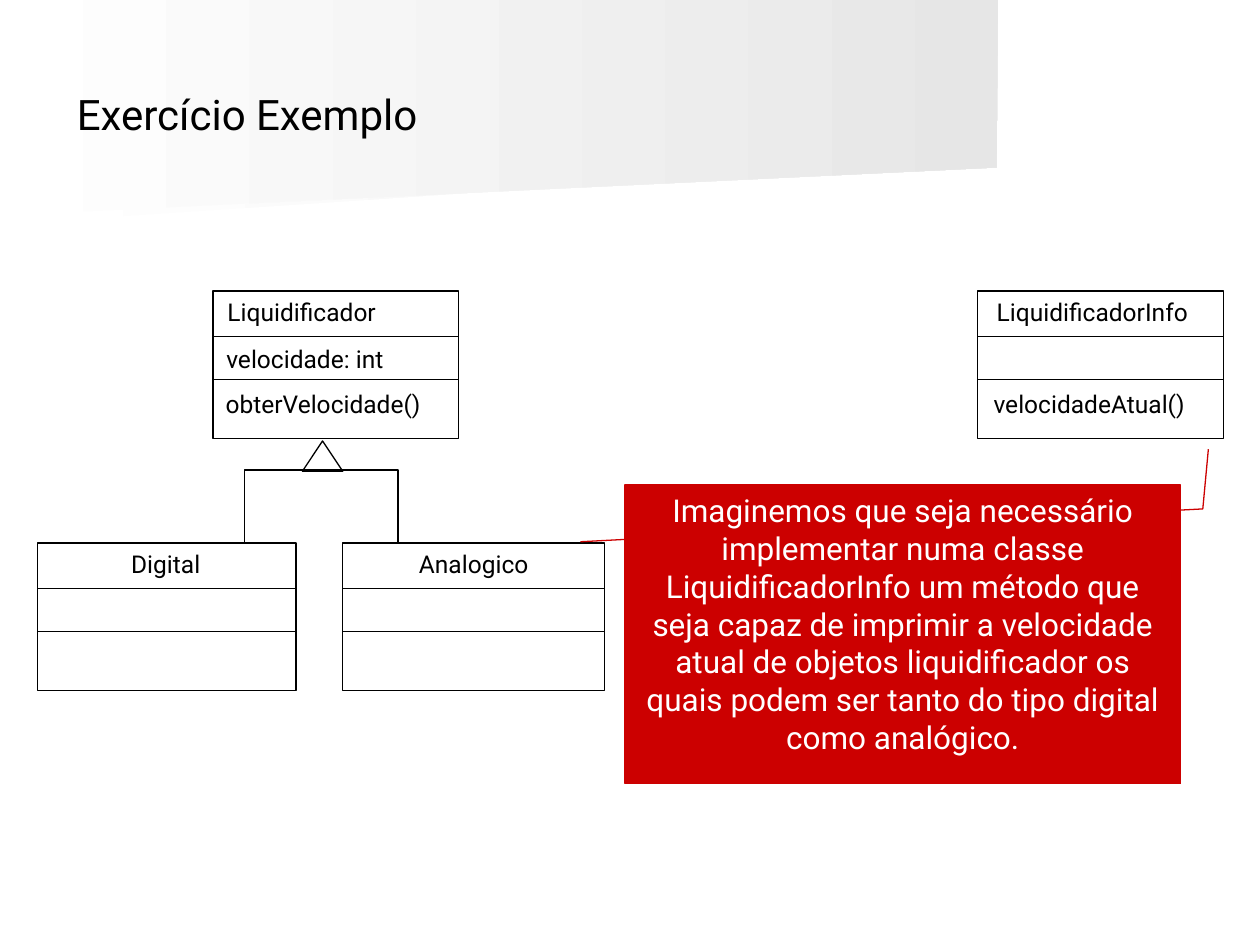
import pptx
import pptx.util
import pptx.dml.color
import pptx.oxml.ns
import pptx.enum.shapes
import pptx.enum.text
import lxml.etree

Inches = pptx.util.Inches
SHAPE = pptx.enum.shapes.MSO_SHAPE
CONNECTOR = pptx.enum.shapes.MSO_CONNECTOR
ALIGN = pptx.enum.text.PP_ALIGN
ANCHOR = pptx.enum.text.MSO_ANCHOR
AUTO_SIZE = pptx.enum.text.MSO_AUTO_SIZE

FONT = "Roboto"
BLACK, WHITE, RED = "000000", "FFFFFF", "CC0000"
CLASS_HEIGHT = 1.17
DIVIDERS = (0.36, 0.7)       # below the top of a class box
LABEL_TOPS = (0, 0.37, 0.73)  # name, attribute, method


def color(hex_value):
    return pptx.dml.color.RGBColor.from_string(hex_value)


def write(frame, text, size, hex_value, align):
    para = frame.paragraphs[0]
    para.alignment = align
    span = para.add_run()
    span.text = text
    span.font.name = FONT
    span.font.size = pptx.util.Pt(size)
    span.font.color.rgb = color(hex_value)


def set_line(item, hex_value=BLACK):
    item.line.color.rgb = color(hex_value)
    item.line.width = pptx.util.Pt(0.75)


def add_outline(page, preset, left, top, width, height, fill=None, line=BLACK):
    shape = page.shapes.add_shape(
        preset, Inches(left), Inches(top), Inches(width), Inches(height))
    shape.shadow.inherit = False
    if fill:
        shape.fill.solid()
        shape.fill.fore_color.rgb = color(fill)
    else:
        shape.fill.background()
    set_line(shape, line)
    return shape


def add_line(page, start, end, kind=CONNECTOR.STRAIGHT):
    line = page.shapes.add_connector(kind, *map(Inches, (*start, *end)))
    set_line(line)
    lxml.etree.SubElement(line._element.spPr, pptx.oxml.ns.qn("a:effectLst"))


def add_label(page, text, left, top, width):
    box = page.shapes.add_textbox(
        Inches(left), Inches(top), Inches(width), Inches(0.34))
    box.text_frame.word_wrap = False
    box.text_frame.auto_size = AUTO_SIZE.SHAPE_TO_FIT_TEXT
    write(box.text_frame, text, 14, BLACK, ALIGN.CENTER)


def add_class(page, left, top, width, labels):
    """Draw a UML class; labels are (row, text, left, width)."""
    add_outline(page, SHAPE.RECTANGLE, left, top, width, CLASS_HEIGHT)
    for offset in DIVIDERS:
        add_line(page, (left, top + offset), (left + width, top + offset))
    for row, text, label_left, label_width in labels:
        add_label(page, text, label_left, top + LABEL_TOPS[row], label_width)


def add_band(page, points, end_color):
    """Draw a background band that fades from white to the right."""
    corners = [(Inches(x), Inches(y)) for x, y in points]
    builder = page.shapes.build_freeform(*corners[0])
    builder.add_line_segments(corners[1:], close=True)
    band = builder.convert_to_shape()
    band.shadow.inherit = False
    band.line.fill.background()
    band.fill.gradient()
    band.fill.gradient_angle = 0
    for stop, hex_value in zip(band.fill.gradient_stops, (WHITE, end_color)):
        stop.color.rgb = color(hex_value)


def add_title(page, text):
    title = page.shapes.title
    title.left, title.top = Inches(0.51), Inches(0.28)
    title.width, title.height = Inches(9), Inches(1.25)
    title.text_frame.auto_size = AUTO_SIZE.NONE
    title.text_frame.vertical_anchor = ANCHOR.MIDDLE
    write(title.text_frame, text, 24, BLACK, ALIGN.LEFT)
    # Bring the title in front of the bands
    page.shapes._spTree.append(title._element)


def add_callout(page, text):
    callout = add_outline(page, SHAPE.LINE_CALLOUT_2,
                          4.96, 3.85, 4.41, 2.37, RED, RED)
    # Pointer as y, x pairs: start, bend, tip
    for index, value in enumerate((0.19, -0.08, 0.08, 1.04, -0.12, 1.05)):
        callout.adjustments[index] = value
    callout.text_frame.word_wrap = True
    callout.text_frame.vertical_anchor = ANCHOR.TOP
    write(callout.text_frame, text, 18, WHITE, ALIGN.CENTER)


def main():
    deck = pptx.Presentation()
    deck.slide_width, deck.slide_height = Inches(10), Inches(7.5)
    page = deck.slides.add_slide(deck.slide_layouts[5])

    # Background and title
    add_band(page, [(7.78, 1.26), (0, 1.78), (0, 0.83), (7.79, 0.83)], "F0F0F0")
    add_band(page, [(7.91, 1.33), (0, 1.71), (0, 0), (7.92, 0)], "E6E6E6")
    add_title(page, "Exercício Exemplo")

    # Classes
    add_class(page, 1.69, 2.31, 1.95, [
        (0, "Liquidificador", 1.67, 1.45),
        (1, "velocidade: int", 1.66, 1.52),
        (2, "obterVelocidade()", 1.66, 1.81)])
    add_class(page, 0.3, 4.31, 2.05, [(0, "Digital", 0.92, 0.79)])
    add_class(page, 2.72, 4.31, 2.08, [(0, "Analogico", 3.21, 1.1)])
    add_class(page, 7.76, 2.31, 1.95, [
        (0, "LiquidificadorInfo", 7.76, 1.82),
        (2, "velocidadeAtual()", 7.76, 1.77)])

    # Inheritance
    add_outline(page, SHAPE.ISOSCELES_TRIANGLE, 2.4, 3.5, 0.32, 0.24)
    for child_center in (1.32, 3.76):
        add_line(page, (2.56, 3.73), (child_center, 4.31), CONNECTOR.ELBOW)

    add_callout(page, "Imaginemos que seja necessário implementar numa classe "
                "LiquidificadorInfo um método que seja capaz de imprimir a "
                "velocidade atual de objetos liquidificador os quais podem ser "
                "tanto do tipo digital como analógico.")
    deck.save("out.pptx")


if __name__ == "__main__":
    main()
